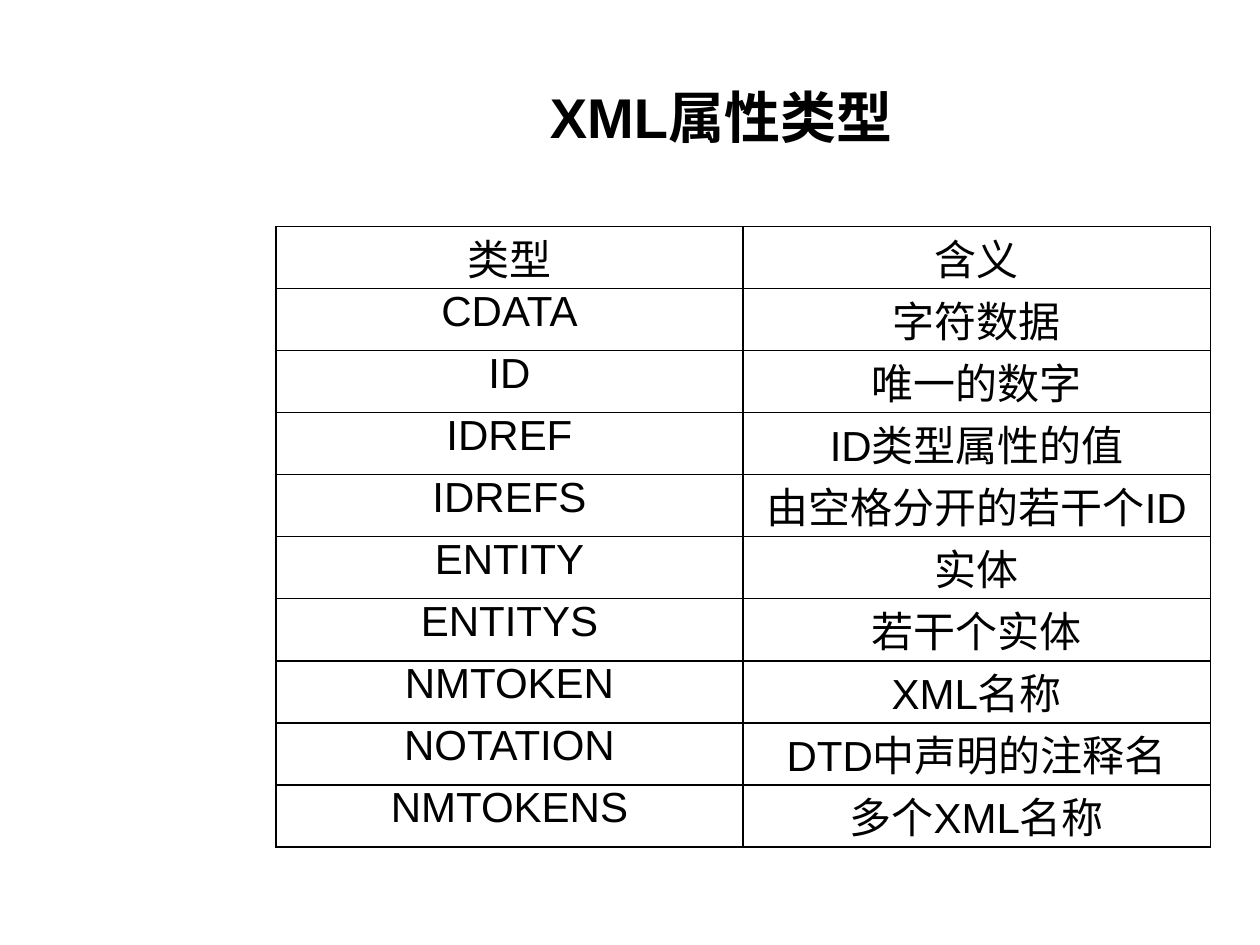
import pptx
import pptx.dml.color
import pptx.enum.text
import pptx.oxml
import pptx.oxml.ns
import pptx.util

Cm = pptx.util.Cm
Pt = pptx.util.Pt
INK = {"text": "000000", "line": "000000", "back": "FFFFFF"}
ROWS = [
    ("类型", "含义"),
    ("CDATA", "字符数据"),
    ("ID", "唯一的数字"),
    ("IDREF", "ID类型属性的值"),
    ("IDREFS", "由空格分开的若干个ID"),
    ("ENTITY", "实体"),
    ("ENTITYS", "若干个实体"),
    ("NMTOKEN", "XML名称"),
    ("NOTATION", "DTD中声明的注释名"),
    ("NMTOKENS", "多个XML名称"),
]


class Page:
    font = "Arial"

    def __init__(self, deck):
        self.slide = deck.slides.add_slide(deck.slide_layouts[6])
        fill = self.slide.background.fill
        fill.solid()
        fill.fore_color.rgb = self.color("back")

    def color(self, name):
        return pptx.dml.color.RGBColor.from_string(INK[name])

    def label(self, frame, text, size, bold=False):
        para = frame.paragraphs[0]
        para.alignment = pptx.enum.text.PP_ALIGN.CENTER
        run = para.add_run()
        run.text = text
        run.font.name = self.font
        run.font.size = Pt(size)
        run.font.bold = bold
        run.font.color.rgb = self.color("text")

    def title(self, text, left, top, width, height):
        box = self.slide.shapes.add_textbox(Cm(left), Cm(top), Cm(width), Cm(height))
        frame = box.text_frame
        frame.word_wrap = True
        frame.vertical_anchor = pptx.enum.text.MSO_ANCHOR.MIDDLE
        self.label(frame, text, 32, True)

    def border(self, cell):
        props = cell._tc.get_or_add_tcPr()
        for side in "LRTB":
            props.append(pptx.oxml.parse_xml(
                f'<a:ln{side} {pptx.oxml.ns.nsdecls("a")} w="{Pt(1)}"><a:solidFill>'
                f'<a:srgbClr val="{INK["line"]}"/></a:solidFill></a:ln{side}>'
            ))

    def table(self, rows, left, top, wide, high):
        cols = len(rows[0])
        grid = self.slide.shapes.add_table(
            len(rows), cols, Cm(left), Cm(top), Cm(wide * cols), Cm(high * len(rows))
        ).table
        grid.first_row = grid.horz_banding = False
        for col in grid.columns:
            col.width = Cm(wide)
        for y, row in enumerate(rows):
            grid.rows[y].height = Cm(high)
            for x, text in enumerate(row):
                cell = grid.cell(y, x)
                cell.margin_left = cell.margin_right = Cm(0.18)
                cell.margin_top = cell.margin_bottom = 0
                self.border(cell)
                cell.fill.background()
                self.label(cell.text_frame, text, 24)


def main():
    deck = pptx.Presentation()
    deck.slide_width = Cm(25.4)
    deck.slide_height = Cm(19.05)
    page = Page(deck)
    page.title("XML属性类型", 4.95, 0.76, 19.18, 3.18)
    page.table(ROWS, 5.56, 4.57, 9.42, 1.25)
    deck.save("out.pptx")


if __name__ == "__main__":
    main()
